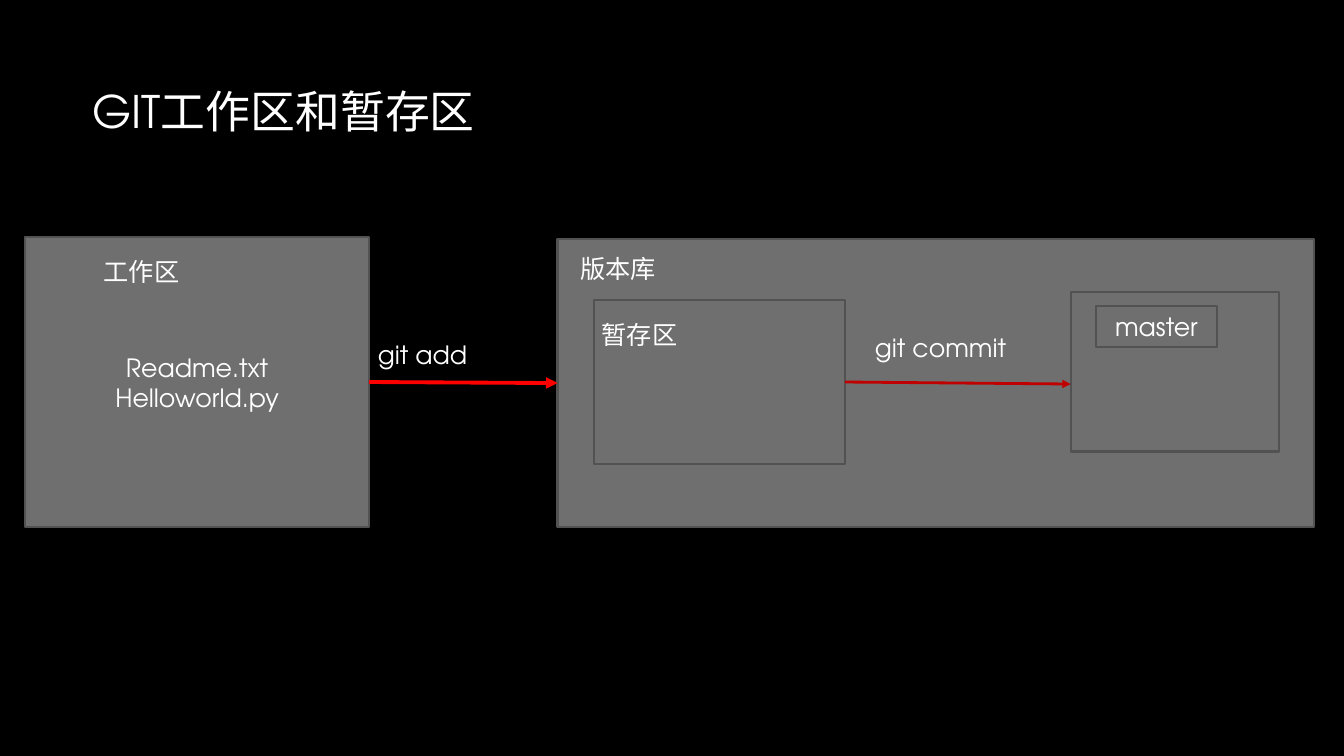
"""Build the slide on the Git working directory and staging area."""
from dataclasses import dataclass

from lxml.etree import SubElement
from pptx import Presentation
from pptx.dml.color import RGBColor
from pptx.enum.shapes import MSO_CONNECTOR, MSO_SHAPE
from pptx.enum.text import MSO_ANCHOR, PP_ALIGN
from pptx.oxml.ns import qn
from pptx.util import Pt

TITLE = ("GIT工作区和暂存区", (82, 6, 1083, 208))
AREAS = {
    "workspace": ((25, 235, 341, 288), ["Readme.txt", "Helloworld.py"]),
    "repository": ((553, 237, 750, 286), []),
    "stage": ((589, 298, 249, 162), []),
    "branch": ((1062, 290, 207, 158), []),
    "master": ((1087, 304, 120, 40), ["master"]),
}
LABELS = [
    ("工作区", (93, 249, 97, 40)),
    ("版本库", (566, 246, 209, 40)),
    ("暂存区", (587, 312, 112, 40)),
    ("git add", (365, 332, 188, 40)),
    ("git commit", (858, 325, 170, 40)),
]
COMMIT_END = (1062, 381)
RIGHT_SIDE, LEFT_SIDE = 3, 1
EMU_PER_PX = 9144


@dataclass(frozen=True)
class Theme:
    font: str = "TeX Gyre Adventor"
    background: str = "000000"
    text: str = "FFFFFF"
    fill: str = "6F6F6F"
    border: str = "525252"
    add: str = "FF0000"
    commit: str = "C00000"
    title_size: int = 32
    body_size: int = 18
    border_width: float = 1.5
    add_width: float = 2.75
    commit_width: float = 2


THEME = Theme()


def px(*lengths):
    return [length * EMU_PER_PX for length in lengths]


def rgb(code):
    return RGBColor.from_string(code)


def write(frame, lines, size=THEME.body_size, align=PP_ALIGN.LEFT, anchor=MSO_ANCHOR.TOP):
    frame.word_wrap = True
    frame.vertical_anchor = anchor
    for index, line in enumerate(lines):
        paragraph = frame.add_paragraph() if index else frame.paragraphs[0]
        paragraph.alignment = align
        run = paragraph.add_run()
        run.text = line
        run.font.name = THEME.font
        run.font.size = Pt(size)
        run.font.color.rgb = rgb(THEME.text)


def add_area(slide, bounds, lines):
    area = slide.shapes.add_shape(MSO_SHAPE.RECTANGLE, *px(*bounds))
    area.shadow.inherit = False
    area.fill.solid()
    area.fill.fore_color.rgb = rgb(THEME.fill)
    area.line.color.rgb = rgb(THEME.border)
    area.line.width = Pt(THEME.border_width)
    write(area.text_frame, lines, align=PP_ALIGN.CENTER, anchor=MSO_ANCHOR.MIDDLE)
    return area


def add_arrow(slide, source, end, color, width):
    arrow = slide.shapes.add_connector(MSO_CONNECTOR.STRAIGHT, 0, 0, *px(*end))
    arrow.begin_connect(source, RIGHT_SIDE)
    arrow.line.color.rgb = rgb(color)
    arrow.line.width = Pt(width)
    SubElement(arrow.line._get_or_add_ln(), qn("a:tailEnd"), type="triangle")
    SubElement(arrow._element.spPr, qn("a:effectLst"))
    return arrow


def main():
    deck = Presentation()
    deck.slide_width, deck.slide_height = px(1333, 750)
    slide = deck.slides.add_slide(deck.slide_layouts[6])
    slide.background.fill.solid()
    slide.background.fill.fore_color.rgb = rgb(THEME.background)

    heading, bounds = TITLE
    title = slide.shapes.add_textbox(*px(*bounds))
    write(title.text_frame, [heading], size=THEME.title_size, anchor=MSO_ANCHOR.MIDDLE)

    areas = {name: add_area(slide, *area) for name, area in AREAS.items()}

    git_add = add_arrow(slide, areas["workspace"], (553, 380), THEME.add, THEME.add_width)
    git_add.end_connect(areas["repository"], LEFT_SIDE)
    add_arrow(slide, areas["stage"], COMMIT_END, THEME.commit, THEME.commit_width)

    for label, bounds in LABELS:
        write(slide.shapes.add_textbox(*px(*bounds)).text_frame, [label])

    deck.save("out.pptx")


if __name__ == "__main__":
    main()
